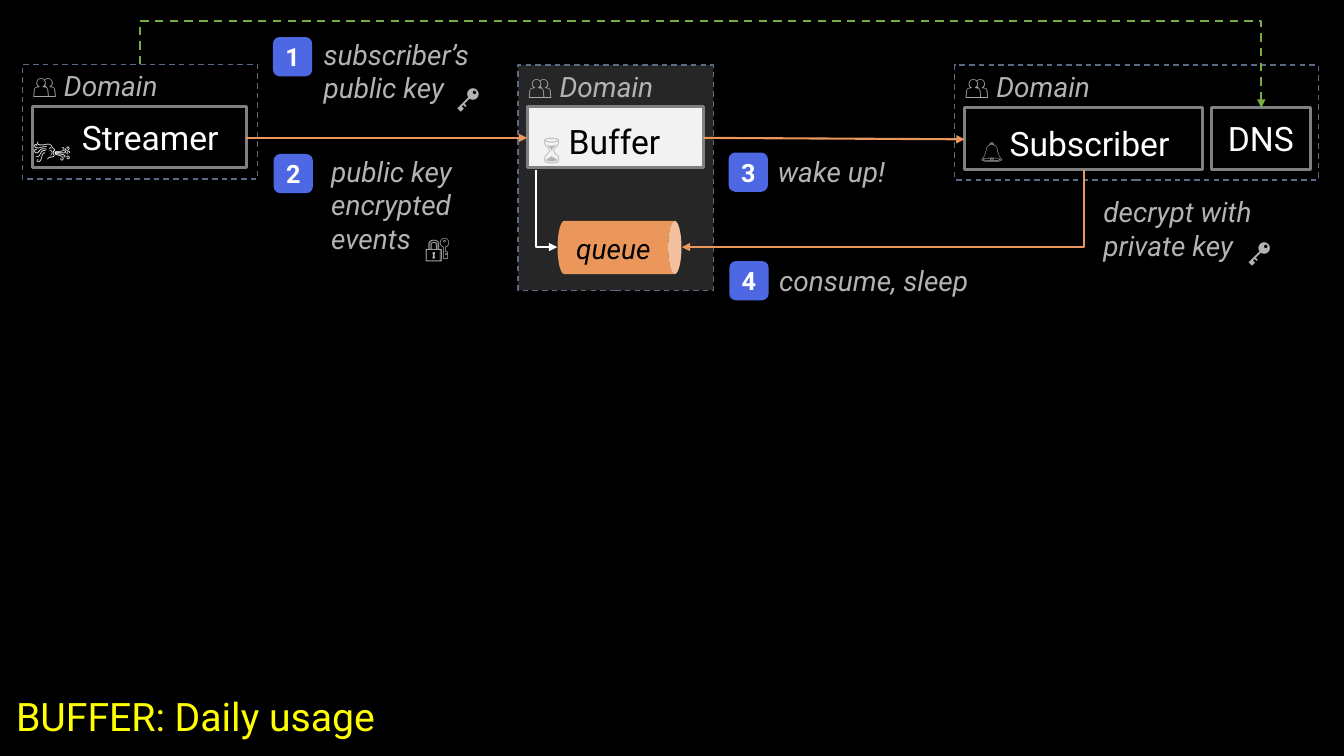
from lxml.etree import SubElement
from pptx import Presentation
from pptx.dml.color import RGBColor
from pptx.enum.dml import MSO_LINE
from pptx.enum.shapes import MSO_CONNECTOR, MSO_SHAPE
from pptx.enum.text import MSO_ANCHOR, PP_ALIGN
from pptx.oxml.ns import qn
from pptx.util import Pt

BLACK = RGBColor(0x00, 0x00, 0x00)
WHITE = RGBColor(0xFF, 0xFF, 0xFF)
CHARCOAL = RGBColor(0x26, 0x26, 0x26)
PALE = RGBColor(0xF2, 0xF2, 0xF2)
GRAY = RGBColor(0x80, 0x80, 0x80)
SILVER = RGBColor(0xB3, 0xB3, 0xB3)
SLATE = RGBColor(0x5A, 0x6B, 0x86)
ORANGE = RGBColor(0xEB, 0x97, 0x5C)
GREEN = RGBColor(0x77, 0xAD, 0x41)
BLUE = RGBColor(0x4E, 0x68, 0xE3)
YELLOW = RGBColor(0xFF, 0xFF, 0x00)


def write(shape, runs, insets=(7.2, 3.6, 7.2, 3.6), anchor=MSO_ANCHOR.TOP,
          align=PP_ALIGN.LEFT, wrap=True):
    frame = shape.text_frame
    frame.word_wrap = wrap
    frame.vertical_anchor = anchor
    frame.margin_left, frame.margin_top, frame.margin_right, frame.margin_bottom = map(Pt, insets)
    paragraph = frame.paragraphs[0]
    paragraph.alignment = align
    for text, size, color, style, baseline in runs:
        for index, line in enumerate(text.split("\n")):
            if index:
                paragraph.add_line_break()
            run = paragraph.add_run()
            run.text = line
            run.font.name = "Roboto"
            run.font.size = Pt(size)
            run.font.color.rgb = color
            run.font.italic = style == "italic"
            run.font.bold = style == "bold"
            if baseline:
                run.font._element.set("baseline", str(baseline))


def arrow(kind, x1, y1, x2, y2, color):
    connector = slide.shapes.add_connector(kind, Pt(x1), Pt(y1), Pt(x2), Pt(y2))
    connector.line.color.rgb = color
    connector.line.width = Pt(1.5)
    if color == GREEN:
        connector.line.dash_style = MSO_LINE.DASH
    SubElement(connector.line._get_or_add_ln(), qn("a:tailEnd"), type="triangle")
    SubElement(connector._element.spPr, qn("a:effectLst"))
    return connector


prs = Presentation()
prs.slide_width, prs.slide_height = Pt(960), Pt(540)
slide = prs.slides.add_slide(prs.slide_layouts[6])
slide.background.fill.solid()
slide.background.fill.fore_color.rgb = BLACK

for left, top, width, height, fill in [
    (370, 46.5, 139.5, 161, CHARCOAL),
    (16, 46, 168, 82, None),
    (682, 46.5, 260, 82, None),
]:
    domain = slide.shapes.add_shape(MSO_SHAPE.RECTANGLE, Pt(left), Pt(top), Pt(width), Pt(height))
    domain.shadow.inherit = False
    if fill is None:
        domain.fill.background()
    else:
        domain.fill.solid()
        domain.fill.fore_color.rgb = fill
    domain.line.color.rgb = SLATE
    domain.line.width = Pt(1)
    domain.line.dash_style = MSO_LINE.DASH
    write(domain, [("👥 ", 20, SILVER, None, 0), ("Domain", 20, SILVER, "italic", 0)],
          (7.2, 2.9, 7.2, 3.6))

for left, top, width, fill, indent, runs in [
    (376.5, 76, 126, PALE, 11.5,
     [("⌛", 32, SILVER, None, -9000), (" Buffer", 24, BLACK, None, 0)]),
    (23, 76, 153, BLACK, 35.5, [("Streamer", 24, WHITE, None, 0)]),
    (689, 77, 170, BLACK, 11.5,
     [("🔔 ", 32, WHITE, None, -9000), ("Subscriber", 24, WHITE, None, 0)]),
    (865.5, 77, 70.5, BLACK, 11.5, [("DNS", 24, WHITE, None, 0)]),
]:
    service = slide.shapes.add_shape(MSO_SHAPE.RECTANGLE, Pt(left), Pt(top), Pt(width), Pt(44))
    service.shadow.inherit = False
    service.fill.solid()
    service.fill.fore_color.rgb = fill
    service.line.color.rgb = GRAY
    service.line.width = Pt(2.25)
    write(service, runs, (indent, 11.5, 11.5, 11.5), MSO_ANCHOR.MIDDLE)

queue = slide.shapes.add_shape(MSO_SHAPE.CAN, Pt(423.5), Pt(132.5), Pt(38), Pt(88.5))
queue.rotation = 90
queue.shadow.inherit = False
queue.fill.solid()
queue.fill.fore_color.rgb = ORANGE
queue.line.fill.background()

for number, left, top in [("1", 195, 26.5), ("2", 195.5, 110), ("3", 520.5, 109), ("4", 521, 186.5)]:
    step = slide.shapes.add_shape(MSO_SHAPE.ROUNDED_RECTANGLE, Pt(left), Pt(top), Pt(28), Pt(28))
    step.shadow.inherit = False
    step.fill.solid()
    step.fill.fore_color.rgb = BLUE
    step.line.fill.background()
    write(step, [(number, 18, WHITE, "bold", 0)], (3.6,) * 4, MSO_ANCHOR.MIDDLE, PP_ALIGN.CENTER)

for text, left, top, width, height, size, color, style, baseline in [
    ("subscriber’s\npublic key", 224, 23, 121, 55.5, 20, SILVER, "italic", 0),
    ("public key\nencrypted\nevents", 229.5, 106.5, 112.5, 80, 20, SILVER, "italic", 0),
    ("wake up!", 548.5, 106.5, 98.5, 31.5, 20, SILVER, "italic", 0),
    ("consume, sleep", 549.5, 184.5, 158.5, 31.5, 20, SILVER, "italic", 0),
    ("decrypt with private key", 781, 135.5, 134, 55.5, 20, SILVER, "italic", 0),
    ("queue", 404.5, 165, 68.5, 24, 20, BLACK, "italic", 0),
    ("🌬️", 17.5, 65.5, 70.5, 60.5, 44, WHITE, None, -9000),
    ("🔑", 319, 55.5, 47, 29, 18, SILVER, None, 0),
    ("🔐", 296.5, 162.5, 47, 29, 18, SILVER, None, 0),
    ("🔑", 884, 165.5, 40.5, 29, 18, SILVER, None, 0),
]:
    label = slide.shapes.add_textbox(Pt(left), Pt(top), Pt(width), Pt(height))
    anchor = MSO_ANCHOR.MIDDLE if text == "queue" else MSO_ANCHOR.TOP
    write(label, [(text, size, color, style, baseline)], anchor=anchor)

title = slide.shapes.add_textbox(Pt(11.5), Pt(491), Pt(260.5), Pt(41))
write(title, [("BUFFER: Daily usage", 28, YELLOW, None, 0)], (0, 3.6, 0, 3.6), wrap=False)

arrow(MSO_CONNECTOR.STRAIGHT, 175.5, 98.5, 376.5, 98.5, ORANGE)
arrow(MSO_CONNECTOR.STRAIGHT, 502.5, 98.5, 689, 99.5, ORANGE)

for x1, y1, x2, y2, color, preset in [
    (383, 121.5, 398, 176.5, WHITE, "bentConnector2"),
    (774, 121.5, 487, 176.5, ORANGE, "bentConnector2"),
    (100, 46, 901, 77, GREEN, "bentConnector3"),
]:
    run, drop = abs(x2 - x1), y2 - y1
    left, top = (x1 + x2 - drop) / 2, (y1 + y2 - run) / 2
    elbow = arrow(MSO_CONNECTOR.ELBOW, left, top, left + drop, top + run, color)
    frame = elbow._element.spPr.find(qn("a:xfrm"))
    frame.set("rot", str((270 if x2 > x1 else 90) * 60000))
    if x2 > x1:
        frame.set("flipH", "1")
    geometry = elbow._element.spPr.find(qn("a:prstGeom"))
    geometry.set("prst", preset)
    if preset == "bentConnector3":
        SubElement(geometry.find(qn("a:avLst")), qn("a:gd"), name="adj1", fmla="val -101000")

prs.save("out.pptx")
